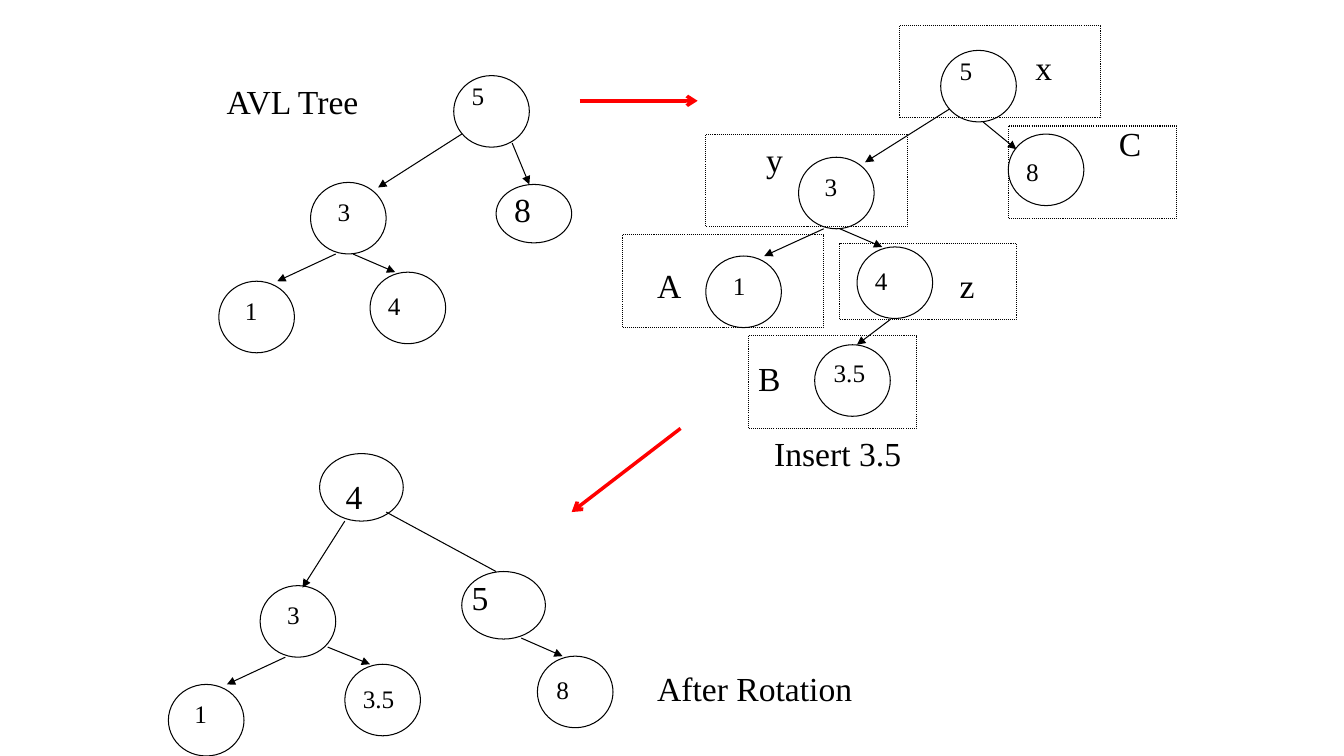
import pptx
import pptx.util
import pptx.dml.color
import pptx.enum.dml
import pptx.enum.shapes
import pptx.enum.text
import pptx.oxml
import pptx.oxml.ns
from dataclasses import dataclass

Inches = pptx.util.Inches
Pt = pptx.util.Pt
Shape = pptx.enum.shapes.MSO_SHAPE


@dataclass(frozen=True)
class Theme:
    font: str = "Times New Roman"
    ink: str = "000000"
    red: str = "FF0000"
    small: int = 18
    large: int = 24
    thin: float = 0.75
    thick: float = 2.5


theme = Theme()

KINDS = {
    "round": (0.75, 0.71, theme.small),
    "flat": (0.75, 0.58, theme.large),
    "wide": (0.83, 0.67, theme.large),
}

# label, kind, node left and top, label left, top and width
NODES = [
    ("5", "round", 4.5, 0.75, 4.58, 0.75, 1.33),
    ("3", "round", 3.08, 1.81, 3.25, 1.9, 1.33),
    ("1", "round", 2.17, 2.79, 2.33, 2.88, 0.83),
    ("4", "round", 3.67, 2.7, 3.75, 2.83, 1),
    ("8", "flat", 4.92, 1.83, 5, 1.83, 1),
    ("5", "round", 9.33, 0.5, 9.42, 0.5, 1.33),
    ("3", "round", 7.92, 1.56, 8.08, 1.65, 1.33),
    ("1", "round", 7, 2.54, 7.17, 2.63, 0.83),
    ("4", "round", 8.5, 2.45, 8.58, 2.58, 1),
    ("8", "round", 10, 1.33, 10.08, 1.5, 0.92),
    ("3.5", "round", 8.08, 3.42, 8.17, 3.5, 1.33),
    ("4", "wide", 3.17, 4.5, 3.33, 4.67, 2.08),
    ("5", "wide", 4.58, 5.67, 4.58, 5.67, 0.83),
    ("3", "round", 2.58, 5.81, 2.75, 5.9, 1.33),
    ("1", "round", 1.67, 6.79, 1.83, 6.88, 0.83),
    ("3.5", "round", 3.42, 6.59, 3.5, 6.73, 1),
    ("8", "round", 5.33, 6.51, 5.42, 6.64, 1),
]

EDGES = [
    (4.58, 1.33, 3.75, 1.86),
    (5.08, 1.42, 5.25, 1.83),
    (3.33, 2.52, 2.75, 2.79),
    (3.5, 2.52, 3.92, 2.7),
    (9.42, 1.08, 8.58, 1.61),
    (9.75, 1.21, 10.08, 1.48),
    (8.17, 2.27, 7.58, 2.54),
    (8.33, 2.27, 8.75, 2.45),
    (8.83, 3.17, 8.5, 3.42),
    (3.42, 5.17, 3, 5.83),
    (2.83, 6.52, 2.25, 6.79),
    (3.25, 6.42, 3.67, 6.59),
    (5.17, 6.33, 5.58, 6.51),
]
PLAIN = (3.83, 5.08, 4.92, 5.67)
STEPS = [(5.75, 1, 6.92, 1), (6.75, 4.25, 5.67, 5.08)]

ZONES = [
    ("x", 8.92, 0.25, 2, 0.92, 10.17, 0.42),
    ("y", 7, 1.33, 2, 0.92, 7.5, 1.33),
    ("A", 6.17, 2.33, 2, 0.92, 6.42, 2.58),
    ("z", 8.33, 2.42, 1.75, 0.75, 9.42, 2.58),
    ("B", 7.42, 3.33, 1.67, 0.92, 7.42, 3.5),
    ("C", 10, 1.25, 1.67, 0.92, 11, 1.17),
]

NOTES = [
    ("AVL Tree", 2.15, 0.75, 4.08),
    ("Insert 3.5", 7.58, 4.25, 4.08),
    ("After Rotation", 6.42, 6.58, 2.5),
]


def color(code):
    return pptx.dml.color.RGBColor.from_string(code)


def outline(slide, form, x, y, w, h):
    shape = slide.shapes.add_shape(form, Inches(x), Inches(y), Inches(w), Inches(h))
    shape.shadow.inherit = False
    shape.fill.background()
    shape.line.color.rgb = color(theme.ink)
    shape.line.width = Pt(theme.thin)
    return shape


def write(slide, text, x, y, w, size=theme.large):
    high = 0.4 if size == theme.small else 0.5
    box = slide.shapes.add_textbox(Inches(x), Inches(y), Inches(w), Inches(high))
    frame = box.text_frame
    frame.word_wrap = True
    frame.auto_size = pptx.enum.text.MSO_AUTO_SIZE.SHAPE_TO_FIT_TEXT
    frame.text = text
    font = frame.paragraphs[0].runs[0].font
    font.name = theme.font
    font.size = Pt(size)
    font.color.rgb = color(theme.ink)


def link(slide, ends, tint=theme.ink, width=theme.thin, head="triangle"):
    line = slide.shapes.add_connector(
        pptx.enum.shapes.MSO_CONNECTOR.STRAIGHT, *map(Inches, ends))
    line.line.color.rgb = color(tint)
    line.line.width = Pt(width)
    props = line._element.spPr
    if head:
        tail = pptx.oxml.parse_xml(
            f'<a:tailEnd {pptx.oxml.ns.nsdecls("a")} type="{head}"/>')
        props.find(pptx.oxml.ns.qn("a:ln")).append(tail)
    props.append(pptx.oxml.parse_xml(
        f'<a:effectLst {pptx.oxml.ns.nsdecls("a")}/>'))


def main():
    deck = pptx.Presentation()
    deck.slide_width = Inches(13.33)
    deck.slide_height = Inches(7.5)
    slide = deck.slides.add_slide(deck.slide_layouts[6])

    for label, kind, x, y, left, top, wide in NODES:
        w, h, size = KINDS[kind]
        outline(slide, Shape.OVAL, x, y, w, h)
        write(slide, label, left, top, wide, size)
    for ends in EDGES:
        link(slide, ends)
    link(slide, PLAIN, head=None)
    for label, x, y, w, h, left, top in ZONES:
        zone = outline(slide, Shape.RECTANGLE, x, y, w, h)
        zone.line.dash_style = pptx.enum.dml.MSO_LINE.ROUND_DOT
        write(slide, label, left, top, 0.67)
    for note in NOTES:
        write(slide, *note)
    for ends in STEPS:
        link(slide, ends, theme.red, theme.thick, "arrow")

    deck.save("out.pptx")


if __name__ == "__main__":
    main()
